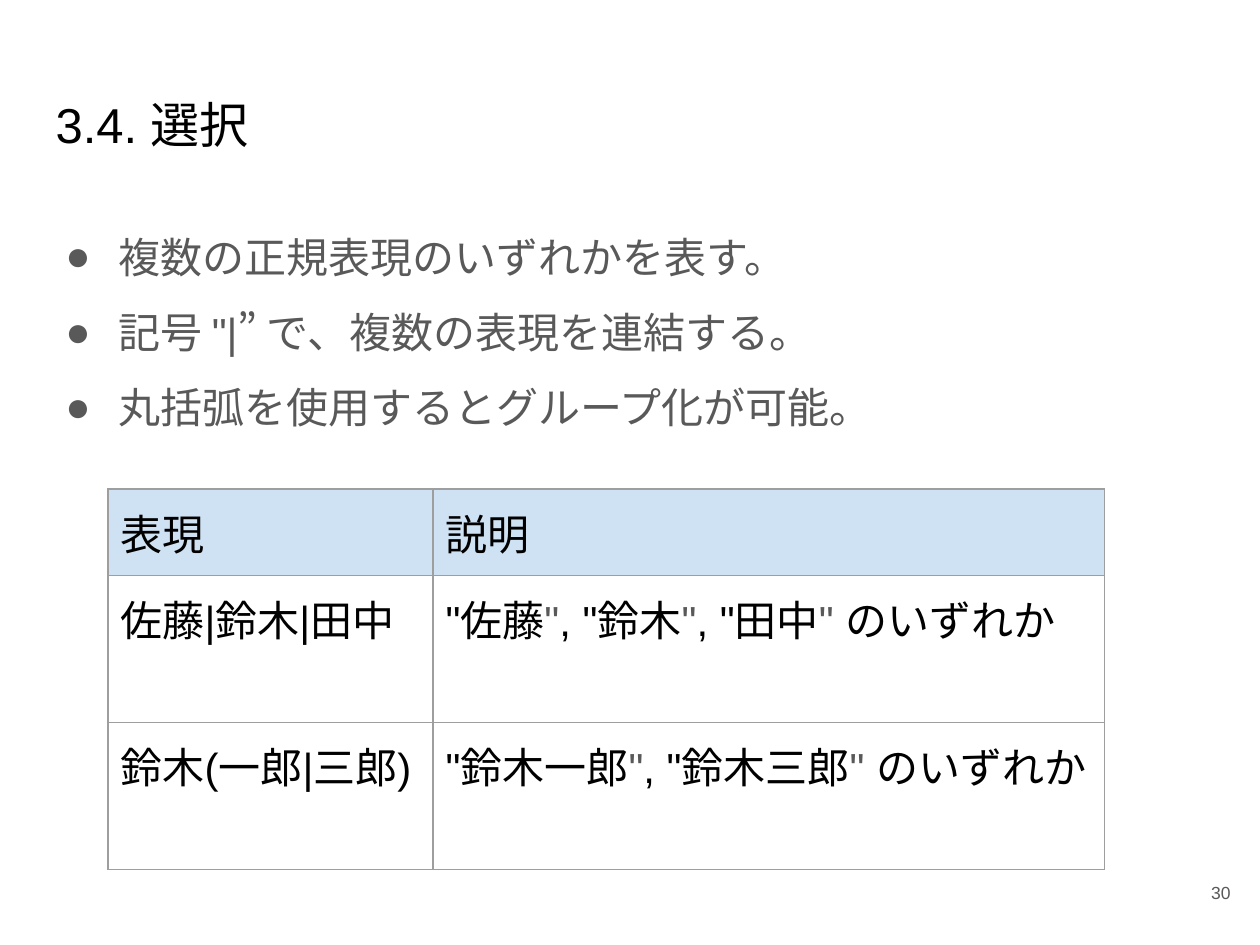
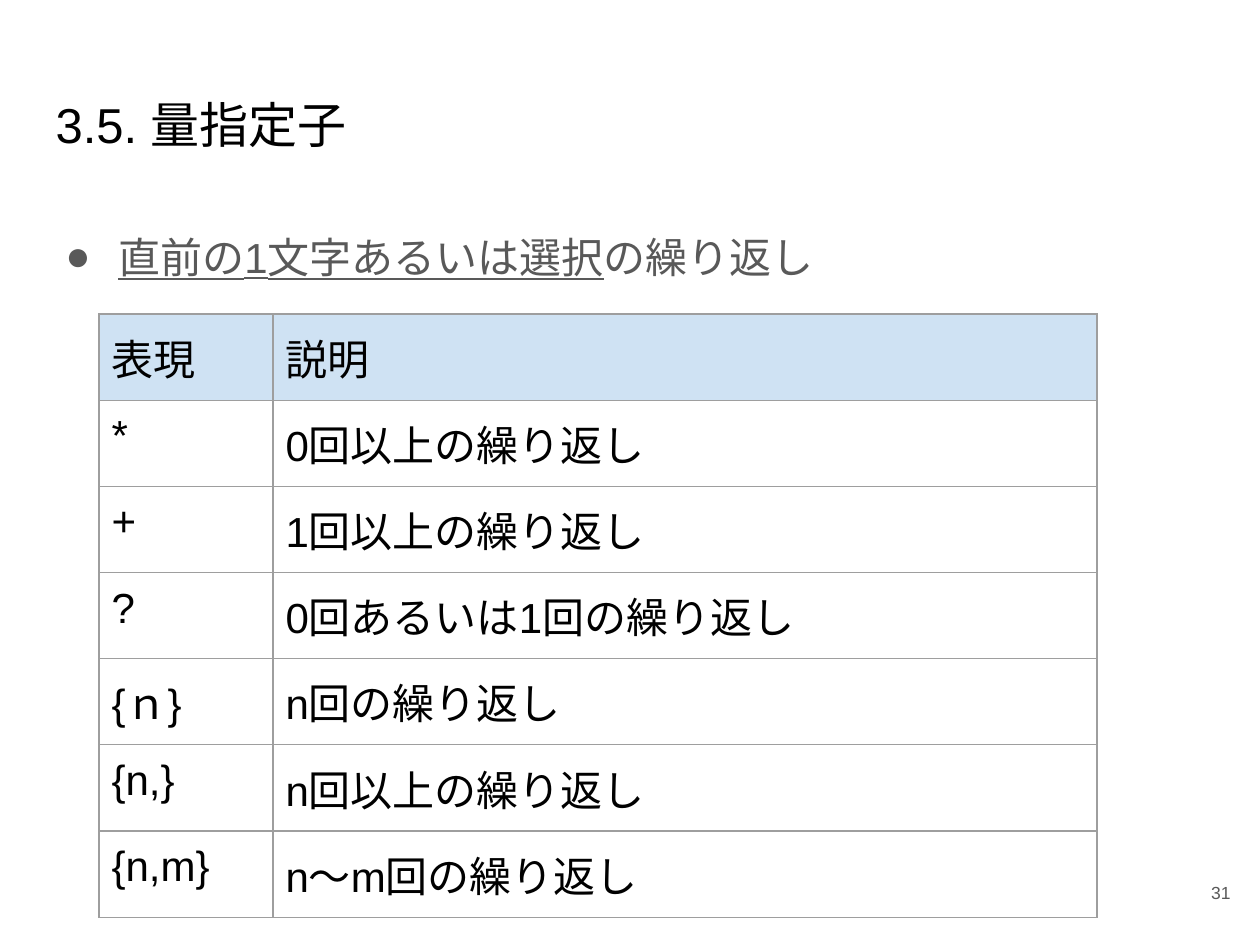
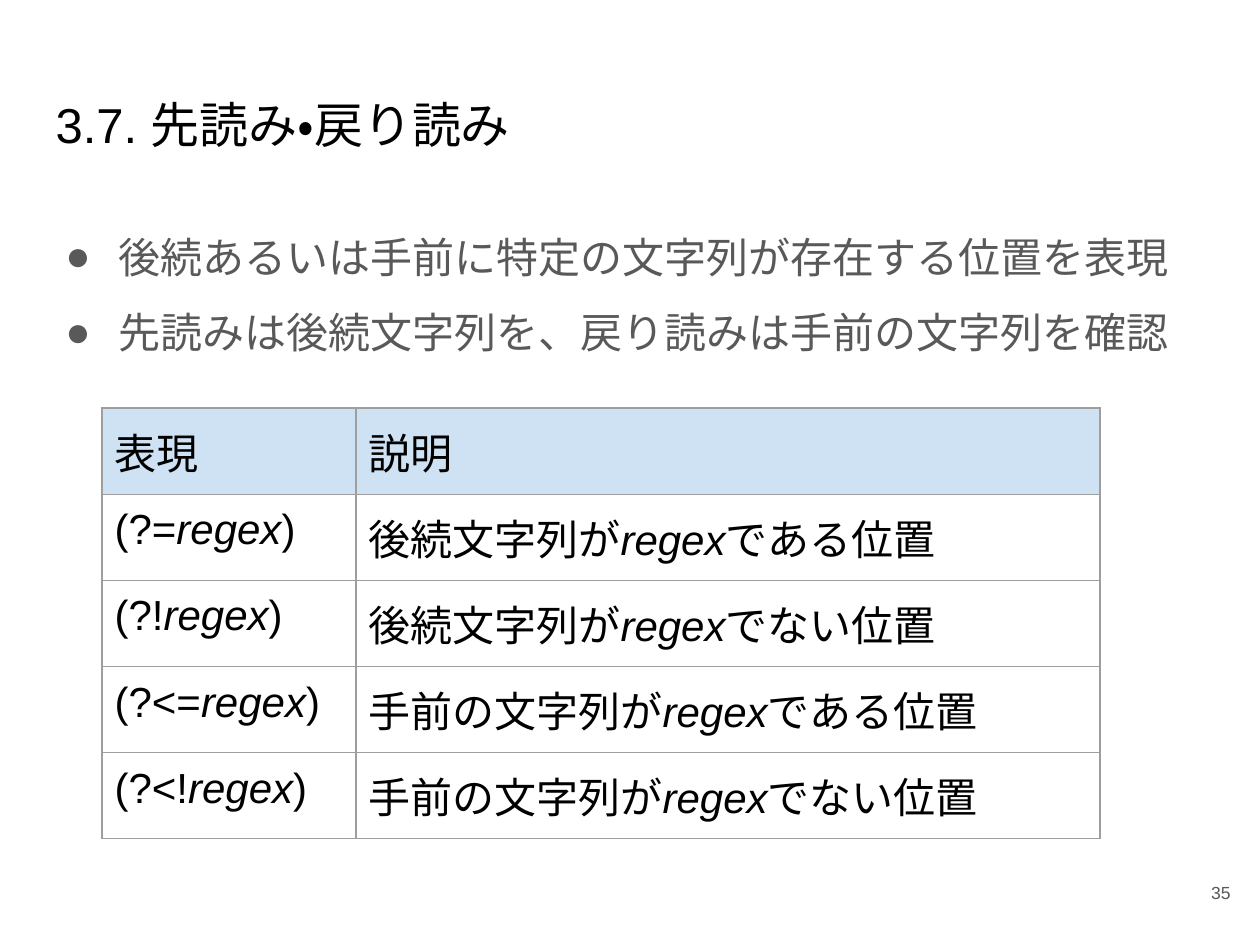
from lxml.etree import SubElement
from pptx import Presentation
from pptx.dml.color import RGBColor
from pptx.enum.lang import MSO_LANGUAGE_ID
from pptx.enum.text import MSO_ANCHOR, MSO_AUTO_SIZE, PP_ALIGN
from pptx.oxml.ns import qn
from pptx.util import Inches, Pt

# Shared look
BLACK = RGBColor(0x00, 0x00, 0x00)
GRAY = RGBColor(0x59, 0x59, 0x59)
HEADER_BLUE = RGBColor(0xCF, 0xE2, 0xF3)
BORDER_GRAY = RGBColor(0x9E, 0x9E, 0x9E)
FONT = "Arial"

TITLE_STYLE = {"size": Pt(28), "color": BLACK}
BULLET_STYLE = {"size": Pt(24), "color": GRAY}
CELL_STYLE = {"size": Pt(24), "color": BLACK}
NUMBER_STYLE = {"size": Pt(10), "color": GRAY}

# Lengths in px, 126 to the inch
SLIDE_SIZE = (1260, 945)
TITLE_BOX = (43, 82, 1174, 105)
BULLETS_BOX = (43, 211, 1174, 627)
NUMBER_BOX = (1167, 856, 76, 72)
BULLET_INDENT, BULLET_HANG = 63, 53
ROW_HEIGHT = 86
INSET = Inches(0.1)


def px(length):
    return round(length * Inches(1) / 126)


# Content: a text is a string or a list of (words, format) runs
def any_of(*names):
    """Names in quotes, each closing quote in gray."""
    runs = []
    for position, name in enumerate(names):
        opening = ', "' if position else '"'
        runs += [(opening + name, {}), ('"', {"color": GRAY})]
    return runs + [(" のいずれか", {})]


def with_regex(before, after):
    return [(before, {}), ("regex", {"italic": True}), (after, {})]


HEADER = ("表現", "説明")

SLIDES = [
    {
        "title": "3.4. 選択",
        "number": "30",
        "bullets": [
            "複数の正規表現のいずれかを表す。",
            '記号 "|” で、複数の表現を連結する。',
            "丸括弧を使用するとグループ化が可能。",
        ],
        "table_at": (108, 489),
        "columns": (325, 672),
        "rows": [
            ("佐藤|鈴木|田中", any_of("佐藤", "鈴木", "田中")),
            ("鈴木(一郎|三郎)", any_of("鈴木一郎", "鈴木三郎")),
        ],
    },
    {
        "title": "3.5. 量指定子",
        "number": "31",
        "bullets": [
            [("直前の1文字あるいは選択", {"underline": True}), ("の繰り返し", {})],
        ],
        "table_at": (99, 314),
        "columns": (174, 824),
        "rows": [
            ("*", "0回以上の繰り返し"),
            ("+", "1回以上の繰り返し"),
            ("?", "0回あるいは1回の繰り返し"),
            ("{ｎ}", "n回の繰り返し"),
            ("{n,}", "n回以上の繰り返し"),
            ("{n,m}", "n～m回の繰り返し"),
        ],
    },
    {
        "title": "3.7. 先読み・戻り読み",
        "number": "35",
        "bullets": [
            "後続あるいは手前に特定の文字列が存在する位置を表現",
            "先読みは後続文字列を、戻り読みは手前の文字列を確認",
        ],
        "table_at": (102, 408),
        "columns": (254, 744),
        "rows": [
            (with_regex("(?=", ")"), with_regex("後続文字列が", "である位置")),
            (with_regex("(?!", ")"), with_regex("後続文字列が", "でない位置")),
            (with_regex("(?<=", ")"), with_regex("手前の文字列が", "である位置")),
            (with_regex("(?<!", ")"), with_regex("手前の文字列が", "でない位置")),
        ],
    },
]


# Text
def write(paragraph, text, style):
    runs = [(text, {})] if isinstance(text, str) else text
    for words, changes in runs:
        run = paragraph.add_run()
        run.text = words
        run.font.name = FONT
        run.font.language_id = MSO_LANGUAGE_ID.JAPANESE
        for key, value in {**style, **changes}.items():
            if key == "color":
                run.font.color.rgb = value
            else:
                setattr(run.font, key, value)


def set_frame(frame, anchor=MSO_ANCHOR.TOP):
    settings = {
        "word_wrap": True,
        "auto_size": MSO_AUTO_SIZE.NONE,
        "vertical_anchor": anchor,
        "margin_left": INSET,
        "margin_right": INSET,
        "margin_top": INSET,
        "margin_bottom": INSET,
    }
    for key, value in settings.items():
        setattr(frame, key, value)
    return frame


def add_box(slide, box, anchor=MSO_ANCHOR.TOP):
    return set_frame(slide.shapes.add_textbox(*map(px, box)).text_frame, anchor)


def add_bullet_mark(paragraph):
    properties = paragraph._p.get_or_add_pPr()
    properties.set("marL", str(px(BULLET_INDENT)))
    properties.set("indent", str(-px(BULLET_HANG)))
    color = SubElement(properties, qn("a:buClr"))
    SubElement(color, qn("a:srgbClr"), val=str(GRAY))
    SubElement(properties, qn("a:buFont"), typeface=FONT)
    SubElement(properties, qn("a:buChar"), char="●")


# Slide parts
def add_title(slide, title):
    placeholder = slide.shapes.title
    for key, value in zip(("left", "top", "width", "height"), TITLE_BOX):
        setattr(placeholder, key, px(value))
    heading = set_frame(placeholder.text_frame).paragraphs[0]
    heading.alignment = PP_ALIGN.LEFT
    write(heading, title, TITLE_STYLE)


def add_bullets(slide, bullets):
    frame = add_box(slide, BULLETS_BOX)
    for position, bullet in enumerate(bullets):
        paragraph = frame.add_paragraph() if position else frame.paragraphs[0]
        paragraph.line_spacing = 1.15
        paragraph.space_before = Pt(10 if position else 0)
        add_bullet_mark(paragraph)
        write(paragraph, bullet, BULLET_STYLE)


def add_number(slide, number):
    paragraph = add_box(slide, NUMBER_BOX, MSO_ANCHOR.MIDDLE).paragraphs[0]
    paragraph.alignment = PP_ALIGN.RIGHT
    write(paragraph, number, NUMBER_STYLE)


def add_borders(cell):
    properties = cell._tc.get_or_add_tcPr()
    for side in ("a:lnL", "a:lnR", "a:lnT", "a:lnB"):
        line = SubElement(properties, qn(side), w=str(Pt(0.75)))
        fill = SubElement(line, qn("a:solidFill"))
        SubElement(fill, qn("a:srgbClr"), val=str(BORDER_GRAY))


def add_expressions(slide, table_at, columns, rows):
    rows = [HEADER, *rows]
    size = (sum(columns), ROW_HEIGHT * len(rows))
    table = slide.shapes.add_table(
        len(rows), len(columns), *map(px, table_at + size)).table
    table.first_row = table.horz_banding = False
    for column, width in zip(table.columns, columns):
        column.width = px(width)
    for r, row in enumerate(rows):
        for c, text in enumerate(row):
            cell = table.cell(r, c)
            for side in ("left", "right", "top", "bottom"):
                setattr(cell, f"margin_{side}", INSET)
            add_borders(cell)
            if r == 0:
                cell.fill.solid()
                cell.fill.fore_color.rgb = HEADER_BLUE
            else:
                cell.fill.background()
            write(cell.text_frame.paragraphs[0], text, CELL_STYLE)


def main():
    deck = Presentation()
    deck.slide_width, deck.slide_height = map(px, SLIDE_SIZE)
    title_only = deck.slide_layouts[5]
    for content in SLIDES:
        slide = deck.slides.add_slide(title_only)
        add_title(slide, content["title"])
        add_bullets(slide, content["bullets"])
        add_number(slide, content["number"])
        add_expressions(
            slide, content["table_at"], content["columns"], content["rows"])
    deck.save("out.pptx")


if __name__ == "__main__":
    main()
